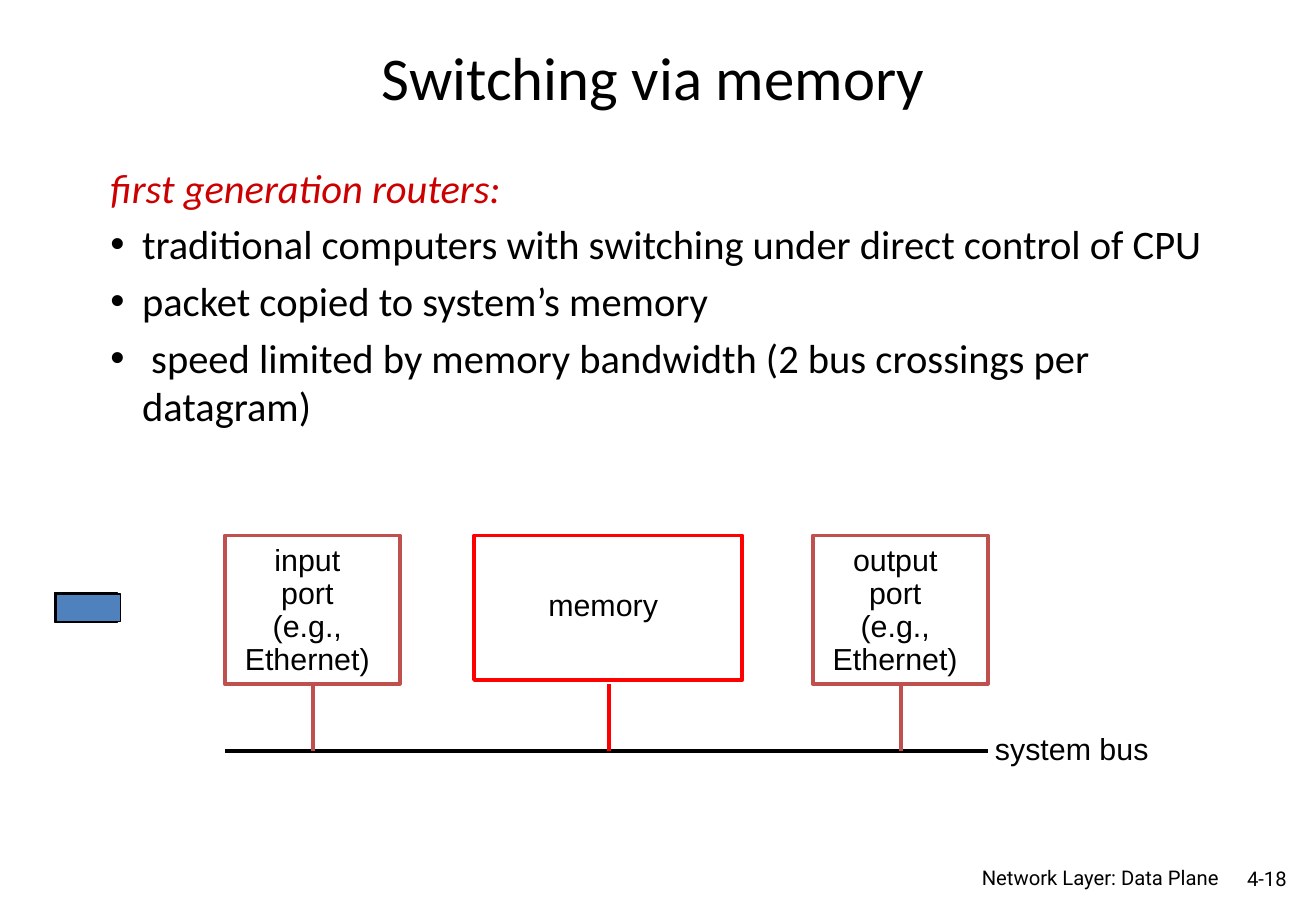
from lxml import etree
from pptx import Presentation
from pptx import util as u
from pptx.dml import color
from pptx.enum import shapes, text
from pptx.oxml import ns

BLACK, WHITE, RED = "000000", "FFFFFF", "FF0000"
PORT_LINE, PACKET, HEADING = "C0504D", "4F81BD", "CC0000"
LEFT, CENTER, RIGHT = text.PP_ALIGN.LEFT, text.PP_ALIGN.CENTER, text.PP_ALIGN.RIGHT
TOP, MIDDLE = text.MSO_ANCHOR.TOP, text.MSO_ANCHOR.MIDDLE


def rgb(code):
    return color.RGBColor.from_string(code)


class Board:
    """Draws on one slide; lengths are in centimetres."""

    def __init__(self, slide):
        self.slide = slide
        self.label_font, self.label_size = "Arial", 18
        self.rule = 2.25

    def text_frame(self, left, top, width, height, wrap=True, anchor=TOP):
        frame = self.slide.shapes.add_textbox(
            u.Cm(left), u.Cm(top), u.Cm(width), u.Cm(height)).text_frame
        frame.word_wrap = wrap
        frame.vertical_anchor = anchor
        return frame

    def add_words(self, paragraph, words, font, size, ink=BLACK, italic=False):
        run = paragraph.add_run()
        run.text = words
        run.font.name, run.font.size = font, u.Pt(size)
        run.font.color.rgb = rgb(ink)
        run.font.italic = italic

    def line_of_text(self, place, words, font, size, align, anchor=TOP):
        paragraph = self.text_frame(*place, anchor=anchor).paragraphs[0]
        paragraph.alignment = align
        self.add_words(paragraph, words, font, size)

    def bullets(self, place, heading, points):
        frame = self.text_frame(*place)
        for number, words in enumerate([heading, *points]):
            paragraph = frame.add_paragraph() if number else frame.paragraphs[0]
            props = paragraph._p.get_or_add_pPr()
            props.set("marL", str(u.Cm(0.66)))
            props.set("indent", str(u.Cm(-0.66)))
            if number:
                paragraph.space_before = u.Pt(4.8)
                etree.SubElement(props, ns.qn("a:buFont"), typeface="Arial")
                etree.SubElement(props, ns.qn("a:buChar"), char="•")
                self.add_words(paragraph, words, "Calibri", 24)
            else:
                self.add_words(paragraph, words, "Calibri", 24, HEADING, True)

    def label(self, place, lines, align=CENTER, spacing=0.9):
        frame = self.text_frame(*place, wrap=False)
        for number, words in enumerate(lines):
            paragraph = frame.add_paragraph() if number else frame.paragraphs[0]
            paragraph.alignment, paragraph.line_spacing = align, spacing
            self.add_words(paragraph, words, self.label_font, self.label_size)

    def box(self, left, top, width, height, fill, line, weight):
        box = self.slide.shapes.add_shape(
            shapes.MSO_SHAPE.RECTANGLE, u.Cm(left), u.Cm(top), u.Cm(width), u.Cm(height))
        box.shadow.inherit = False
        box.fill.solid()
        box.fill.fore_color.rgb = rgb(fill)
        box.line.color.rgb = rgb(line)
        box.line.width = u.Pt(weight)

    def line(self, x1, y1, x2, y2, ink):
        line = self.slide.shapes.add_connector(
            shapes.MSO_CONNECTOR.STRAIGHT, u.Cm(x1), u.Cm(y1), u.Cm(x2), u.Cm(y2))
        line.line.color.rgb = rgb(ink)
        line.line.width = u.Pt(self.rule)
        etree.SubElement(line._element.spPr, ns.qn("a:effectLst"))


def main():
    deck = Presentation()
    deck.slide_width, deck.slide_height = u.Cm(27.51), u.Cm(19.05)
    board = Board(deck.slides.add_slide(deck.slide_layouts[6]))

    board.line_of_text((1.96, 0.74, 23.39, 1.7), "Switching via memory",
                       "Calibri", 36, CENTER, MIDDLE)
    board.bullets((2.06, 3.28, 23.62, 2.97), "first generation routers:", [
        "traditional computers with switching under direct control of CPU",
        "packet copied to system’s memory",
        " speed limited by memory bandwidth (2 bus crossings per datagram)",
    ])
    board.line_of_text((19.18, 17.98, 6.55, 0.66), "Network Layer: Data Plane",
                       "Roboto", 12, RIGHT)
    board.line_of_text((25.45, 17.98, 1.7, 0.76), "4-18", "Roboto", 12, RIGHT, MIDDLE)

    row_top, bus_y, stem_top = 11.2, 15.7, 14.3
    input_left, output_left = 4.7, 16.99

    board.line(input_left, bus_y, 20.65, bus_y, BLACK)
    for direction, left in (("input", input_left), ("output", output_left)):
        board.box(left, row_top, 3.66, 3.1, WHITE, PORT_LINE, board.rule)
        board.label((left + 0.15, row_top + 0.08, 3.15, 3.02),
                    [direction, "port", "(e.g.,", "Ethernet)"])
        board.line(left + 1.84, stem_top, left + 1.84, bus_y, PORT_LINE)

    board.box(9.91, row_top, 5.61, 3.02, WHITE, RED, board.rule)
    board.label((11.2, 12.22, 2.82, 0.94), ["memory"])
    board.line(12.73, stem_top, 12.73, bus_y, RED)
    board.label((20.55, 15.14, 3.76, 1.02), ["system bus"], LEFT, 1.0)

    for packet in ((1.14, 12.4, 1.32, 0.61), (1.17, 12.42, 1.35, 0.58)):
        board.box(*packet, PACKET, BLACK, 0.75)

    deck.save("out.pptx")


if __name__ == "__main__":
    main()
